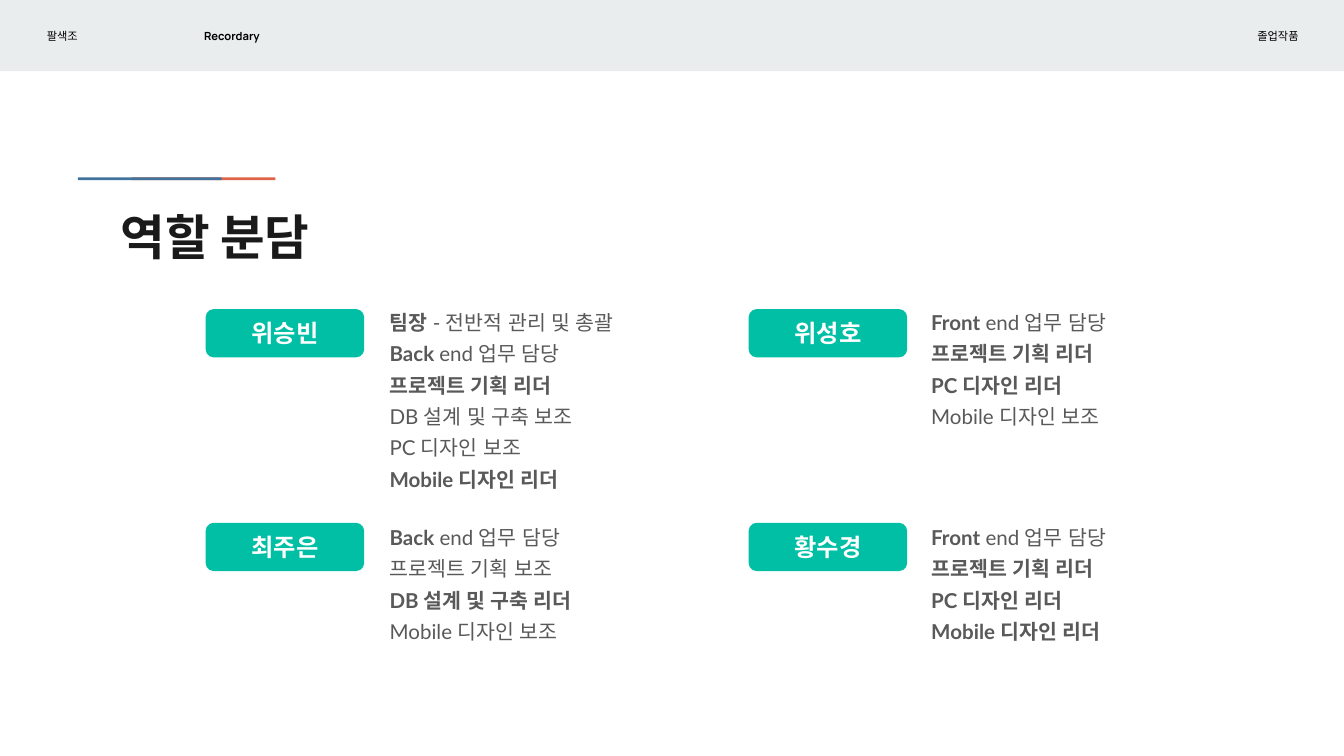
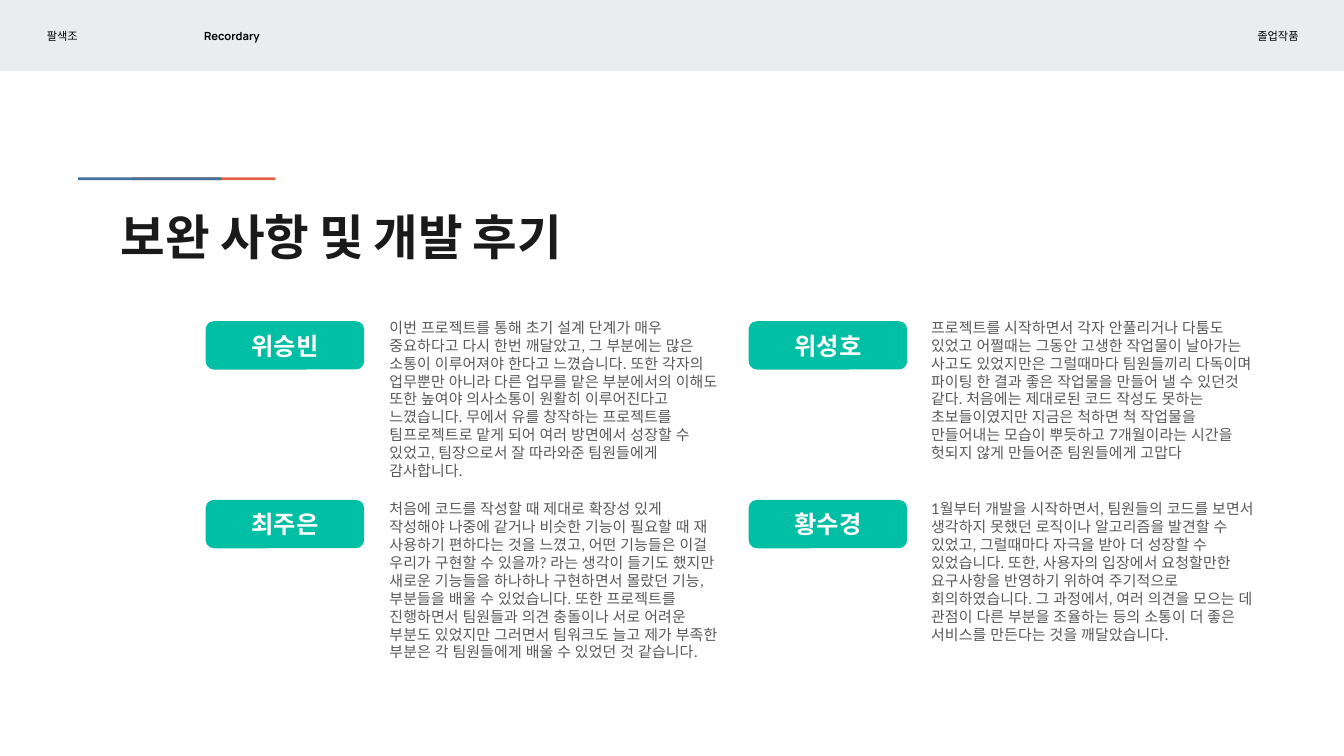
import lxml.etree
import pptx
import pptx.dml.color
import pptx.enum.shapes
import pptx.enum.text
import pptx.oxml.ns
import pptx.util

Inches = pptx.util.Inches
Pt = pptx.util.Pt
SHAPES = pptx.enum.shapes.MSO_SHAPE
ANCHOR = pptx.enum.text.MSO_ANCHOR
ALIGN = pptx.enum.text.PP_ALIGN

COLORS = {
    "band": "E9EDEE",
    "header": "000000",
    "blue": "40739E",
    "orange": "E16347",
    "badge": "00BFA5",
    "white": "FFFFFF",
    "title": "1A1A1A",
    "body": "595959",
}
COLUMNS = ((1.53, 2.8), (5.57, 6.83))
BADGE_SIZE = (1.18, 0.36)
TITLE_BOX = (0.8, 1.44, 8.41, 0.59)
HEADER_LABELS = (
    ("팔색조", (0.25, 0.09, 1.09, 0.35), False, ALIGN.LEFT),
    ("Recordary", (1.42, 0.09, 2.3, 0.35), True, ALIGN.LEFT),
    ("졸업작품", (8.94, 0.09, 0.82, 0.35), False, ALIGN.RIGHT),
)

ROLE_ROWS = ((2.3, 2.35), (3.89, 3.95))
ROLES = (
    ("위승빈", (
        (("팀장", True), (" - 전반적 관리 및 총괄", False)),
        (("Back ", True), ("end 업무 담당", False)),
        (("프로젝트 기획 리더", True),),
        (("DB 설계 및 구축 보조", False),),
        (("PC 디자인 보조", False),),
        (("Mobile 디자인 리더", True),),
    )),
    ("위성호", (
        (("Front", True), (" end 업무 담당", False)),
        (("프로젝트 기획 리더", True),),
        (("PC 디자인 리더", True),),
        (("Mobile 디자인 보조", False),),
    )),
    ("최주은", (
        (("Back", True), (" end 업무 담당", False)),
        (("프로젝트 기획 보조", False),),
        (("DB 설계 및 구축 리더", True),),
        (("Mobile 디자인 보조", False),),
    )),
    ("황수경", (
        (("Front", True), (" end 업무 담당", False)),
        (("프로젝트 기획 리더", True),),
        (("PC 디자인 리더", True),),
        (("Mobile 디자인 리더", True),),
    )),
)

REVIEW_ROWS = ((2.39, 2.27), (3.72, 3.62))
REVIEWS = (
    ("위승빈",
     "이번 프로젝트를 통해 초기 설계 단계가 매우 중요하다고 다시 한번 깨달았고, 그 부분에는 많은 "
     "소통이 이루어져야 한다고 느꼈습니다. 또한 각자의 업무뿐만 아니라 다른 업무를 맡은 부분에서의 이해도 "
     "또한 높여야 의사소통이 원활히 이루어진다고 느꼈습니다. 무에서 유를 창작하는 프로젝트를 "
     "팀프로젝트로 맡게 되어 여러 방면에서 성장할 수 있었고, 팀장으로서 잘 따라와준 팀원들에게 감사합니다."),
    ("위성호",
     "프로젝트를 시작하면서 각자 안풀리거나 다툼도 있었고 어쩔때는 그동안 고생한 작업물이 날아가는 "
     "사고도 있었지만은 그럴때마다 팀원들끼리 다독이며 파이팅 한 결과 좋은 작업물을 만들어 낼 수 있던것 "
     "같다. 처음에는 제대로된 코드 작성도 못하는 초보들이였지만 지금은 척하면 척 작업물을 "
     "만들어내는 모습이 뿌듯하고 7개월이라는 시간을 헛되지 않게 만들어준 팀원들에게 고맙다"),
    ("최주은",
     "처음에 코드를 작성할 때 제대로 확장성 있게 작성해야 나중에 같거나 비슷한 기능이 필요할 때 재 "
     "사용하기 편하다는 것을 느꼈고, 어떤 기능들은 이걸 우리가 구현할 수 있을까? 라는 생각이 들기도 "
     "했지만 새로운 기능들을 하나하나 구현하면서 몰랐던 기능, 부분들을 배울 수 있었습니다. 또한 "
     "프로젝트를 진행하면서 팀원들과 의견 충돌이나 서로 어려운 부분도 있었지만 그러면서 팀워크도 늘고 "
     "제가 부족한 부분은 각 팀원들에게 배울 수 있었던 것 같습니다."),
    ("황수경",
     "1월부터 개발을 시작하면서, 팀원들의 코드를 보면서 생각하지 못했던 로직이나 알고리즘을 발견할 "
     "수 있었고, 그럴때마다 자극을 받아 더 성장할 수 있었습니다. 또한, 사용자의 입장에서 요청할만한 "
     "요구사항을 반영하기 위하여 주기적으로 회의하였습니다. 그 과정에서, 여러 의견을 모으는 "
     "데 관점이 다른 부분을 조율하는 등의 소통이 더 좋은 서비스를 만든다는 것을 깨달았습니다."),
)


def rgb(color):
    return pptx.dml.color.RGBColor.from_string(COLORS[color])


def inches(box):
    return [Inches(length) for length in box]


def add_block(slide, box, color, kind=SHAPES.RECTANGLE):
    block = slide.shapes.add_shape(kind, *inches(box))
    block.shadow.inherit = False
    block.fill.solid()
    block.fill.fore_color.rgb = rgb(color)
    block.line.fill.background()
    return block


def set_frame(frame, anchor):
    frame.word_wrap = True
    frame.auto_size = pptx.enum.text.MSO_AUTO_SIZE.NONE
    frame.vertical_anchor = anchor
    frame.margin_left = frame.margin_right = Inches(0.1)
    frame.margin_top = frame.margin_bottom = Inches(0.1)


def add_run(paragraph, text, bold, font, size, color):
    run = paragraph.add_run()
    run.text = text
    run.font.name = font
    run.font.size = Pt(size)
    run.font.bold = bold
    run.font.color.rgb = rgb(color)
    for script in ("a:ea", "a:cs"):
        typeface = lxml.etree.SubElement(run.font._element, pptx.oxml.ns.qn(script))
        typeface.set("typeface", font)


def write(frame, lines, font, size, color, align=ALIGN.LEFT, anchor=ANCHOR.TOP,
          spacing=None, before=0):
    set_frame(frame, anchor)
    for index, runs in enumerate(lines):
        paragraph = frame.add_paragraph() if index else frame.paragraphs[0]
        paragraph.alignment = align
        if spacing:
            paragraph.line_spacing = spacing
        if index:
            paragraph.space_before = Pt(before)
        for text, bold in runs:
            add_run(paragraph, text, bold, font, size, color)


def add_text(slide, box, lines, *style, **layout):
    label = slide.shapes.add_textbox(*inches(box))
    write(label.text_frame, lines, *style, **layout)


def add_header(slide):
    add_block(slide, (0, 0, 10, 0.53), "band")
    for text, box, bold, align in HEADER_LABELS:
        add_text(slide, box, [[(text, bold)]], "Manrope", 6, "header",
                 align=align, anchor=ANCHOR.MIDDLE)


def add_accent(slide, left, top):
    for offset, color in ((0.4, "orange"), (0, "blue")):
        add_block(slide, (left + offset, top, 1.07, 0.02), color)


def add_title(slide, text):
    title = slide.shapes.title
    title.left, title.top, title.width, title.height = inches(TITLE_BOX)
    write(title.text_frame, [[(text, True)]], "Manrope", 26, "title")


def add_badge(slide, left, top, member):
    badge = add_block(slide, (left, top, *BADGE_SIZE), "badge", SHAPES.ROUNDED_RECTANGLE)
    badge.adjustments[0] = 0.17
    write(badge.text_frame, [[(member, True)]], "Arial", 13, "white",
          align=ALIGN.CENTER, anchor=ANCHOR.MIDDLE)


def add_members(slide, members, rows, body_width, size, **layout):
    for index, (member, lines) in enumerate(members):
        row, column = divmod(index, len(COLUMNS))
        badge_left, body_left = COLUMNS[column]
        badge_top, body_top = rows[row]
        add_badge(slide, badge_left, badge_top, member)
        add_text(slide, (body_left, body_top, body_width, 1.15), lines,
                 "Lato", size, "body", **layout)


def add_member_slide(deck, title):
    slide = deck.slides.add_slide(deck.slide_layouts[5])
    add_header(slide)
    add_accent(slide, 0.58, 1.32)
    add_title(slide, title)
    return slide


def build_roles(deck):
    slide = add_member_slide(deck, "역할 분담")
    add_members(slide, ROLES, ROLE_ROWS, 2.41, 11, spacing=0.06, before=16)


def build_reviews(deck):
    slide = add_member_slide(deck, "보완 사항 및 개발 후기")
    members = [(member, [[(review, False)]]) for member, review in REVIEWS]
    add_members(slide, members, REVIEW_ROWS, 2.66, 8)


def main():
    deck = pptx.Presentation()
    deck.slide_width = Inches(10)
    deck.slide_height = deck.slide_width * 9 // 16
    build_roles(deck)
    build_reviews(deck)
    deck.save("out.pptx")


if __name__ == "__main__":
    main()
